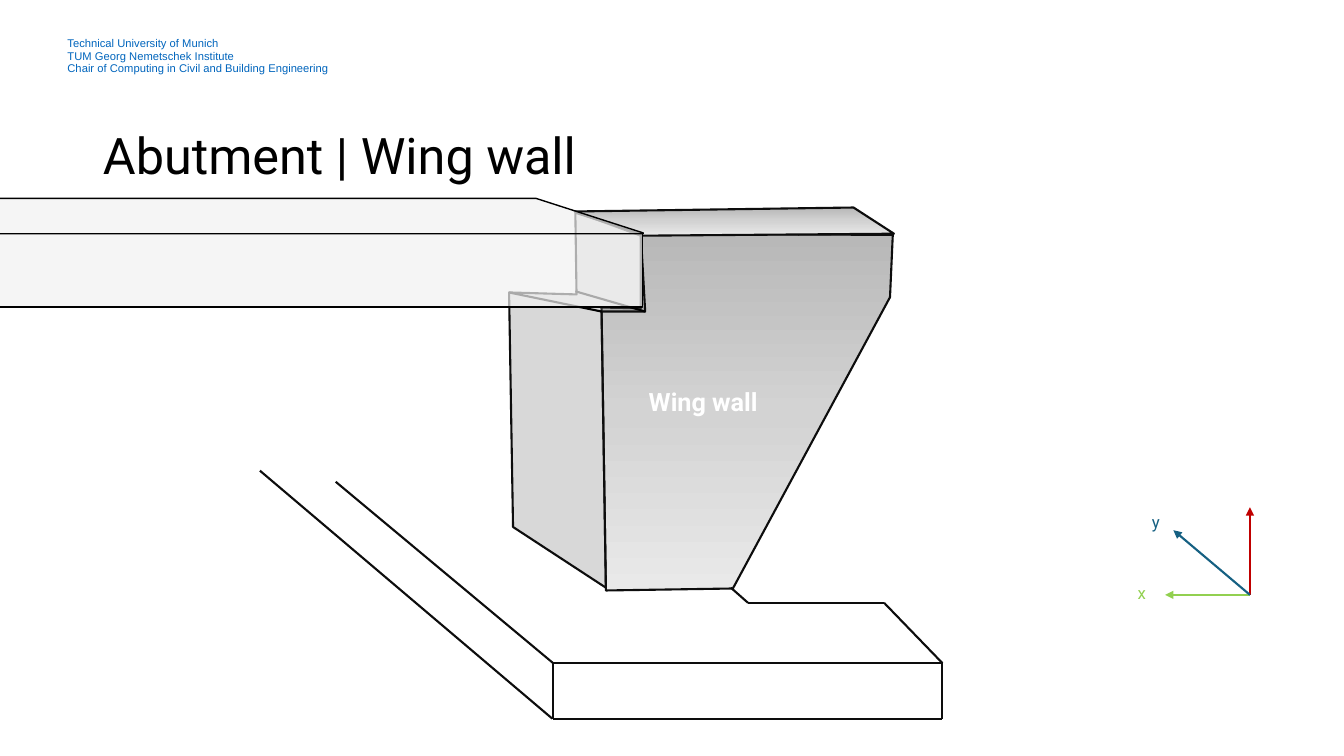
from dataclasses import dataclass
from itertools import pairwise
from lxml.etree import SubElement
from pptx import Presentation
from pptx.dml.color import RGBColor
from pptx.enum.shapes import MSO_CONNECTOR, MSO_SHAPE
from pptx.enum.text import MSO_ANCHOR, MSO_AUTO_SIZE, PP_ALIGN
from pptx.oxml.ns import qn
from pptx.util import Cm, Pt


@dataclass(frozen=True)
class Theme:
    head: str = "0065BD"
    ink: str = "0D0D0D"
    black: str = "000000"
    white: str = "FFFFFF"
    side: str = "808080"
    deck: str = "F2F2F2"
    red: str = "C00000"
    green: str = "92D050"
    blue: str = "156082"
    shade: tuple = ((0, "B8B8B8"), (50, "D3D3D3"), (100, "E9E9E9"))
    sans: str = "Arial"
    main: str = "Roboto"
    small: float = 8
    label: float = 12
    name: float = 18
    title: float = 36
    edge: float = 1.5
    thin: float = 1


THEME = Theme()
TITLE = "Abutment | Wing wall"
HEAD = [
    ["Technical University of Munich", "TUM Georg Nemetschek Institute"],
    ["Chair of Computing in Civil and Building Engineering"],
]
FRONT = [(15.16, 7.75), (15.27, 14.88), (18.47, 14.83), (22.43, 7.49),
         (22.5, 5.92), (16.15, 5.89), (16.15, 7.77)]
CROWN = [(16.15, 5.94), (14.48, 5.33), (21.51, 5.23), (22.53, 5.89)]
SIDE = [(14.5, 5.36), (14.53, 7.42), (12.83, 7.37), (12.93, 13.28),
        (15.27, 14.81), (15.16, 7.85), (16.26, 7.85), (16.15, 5.89)]
FOOTING = [
    [(8.46, 12.14), (13.94, 16.71), (23.75, 16.71), (22.28, 15.19),
     (18.85, 15.19), (18.42, 14.81)],
    [(13.94, 16.71), (13.94, 18.11), (23.75, 18.11), (23.75, 16.71)],
    [(13.92, 18.11), (6.55, 11.86)],
]
SEAT = [[(12.83, 7.37), (15.16, 7.85)], [(14.5, 7.34), (16.26, 7.85)]]
BEAM = (-0.89, 5.89, 17.09, 1.85)
ROAD = [(-3.71, 5), (13.51, 5), (16.21, 5.87), (16.21, 5.89),
        (-0.89, 5.89), (-1.02, 5.87)]
ZERO = (31.5, 14.99)
AXES = [((31.5, 12.78), THEME.red), ((29.36, 14.99), THEME.green),
        ((29.57, 13.36), THEME.blue)]
LABELS = [
    ("Wing wall", (16.1, 9.6, 5.05, 1.02), THEME.name, THEME.white, True),
    ("x", (28.42, 14.55, 0.61, 0.76), THEME.label, THEME.green, False),
    ("y", (28.78, 12.78, 0.61, 0.76), THEME.label, THEME.blue, False),
]


def rgb(hue):
    return RGBColor.from_string(hue)


def lengths(nums):
    return [Cm(num) for num in nums]


def write(para, text, size, hue, font=THEME.main, bold=False):
    run = para.add_run()
    run.text = text
    run.font.name = font
    run.font.size = Pt(size)
    run.font.bold = bold
    run.font.color.rgb = rgb(hue)


def stroke(item, hue, width):
    item.line.color.rgb = rgb(hue)
    item.line.width = Pt(width)


def draw(shapes, start, end, hue, arrow=False):
    line = shapes.add_connector(MSO_CONNECTOR.STRAIGHT, *lengths(start + end))
    stroke(line, hue, THEME.edge)
    props = line.element.spPr
    if arrow:
        SubElement(props.find(qn("a:ln")), qn("a:tailEnd"), type="triangle")
    SubElement(props, qn("a:effectLst"))


def chain(shapes, points, hue):
    for start, end in pairwise(points):
        draw(shapes, start, end, hue)


def outline(shapes, points):
    first, *rest = [tuple(lengths(point)) for point in points]
    pen = shapes.build_freeform(*first)
    pen.add_line_segments(rest, close=True)
    return pen.convert_to_shape()


def tint(shape, hue, alpha, edge, width):
    shape.shadow.inherit = False
    shape.fill.solid()
    shape.fill.fore_color.rgb = rgb(hue)
    tone = shape.element.spPr.find(qn("a:solidFill"))[0]
    SubElement(tone, qn("a:alpha"), val=str(alpha * 1000))
    stroke(shape, edge, width)


def blend(shape):
    shape.shadow.inherit = False
    shape.fill.gradient()
    shape.fill.gradient_angle = 270
    stops = shape.element.spPr.find(qn("a:gradFill")).find(qn("a:gsLst"))
    for stop in list(stops):
        stops.remove(stop)
    for pos, hue in THEME.shade:
        stop = SubElement(stops, qn("a:gs"), pos=str(pos * 1000))
        SubElement(stop, qn("a:srgbClr"), val=hue)
    stroke(shape, THEME.ink, THEME.edge)


def frame(shapes, box):
    text = shapes.add_textbox(*lengths(box)).text_frame
    text.word_wrap = True
    return text


def header(shapes):
    text = frame(shapes, (1.7, 0.94, 19.89, 0.97))
    text.margin_left = text.margin_right = 0
    text.margin_top = text.margin_bottom = 0
    for num, lines in enumerate(HEAD):
        para = text.add_paragraph() if num else text.paragraphs[0]
        para.line_spacing = Pt(9)
        for row, line in enumerate(lines):
            if row:
                para.add_line_break()
            write(para, line, THEME.small, THEME.head, THEME.sans)


def heading(title):
    title.left, title.top, title.width, title.height = lengths(
        (2.34, 2.77, 29.21, 2.44))
    text = title.text_frame
    text.auto_size = MSO_AUTO_SIZE.NONE
    text.vertical_anchor = MSO_ANCHOR.MIDDLE
    para = text.paragraphs[0]
    para.alignment = PP_ALIGN.LEFT
    para.line_spacing = 0.9
    write(para, TITLE, THEME.title, THEME.black)


def main():
    deck = Presentation()
    deck.slide_width, deck.slide_height = lengths((33.87, 19.05))
    slide = deck.slides.add_slide(deck.slide_layouts[5])
    shapes = slide.shapes
    heading(shapes.title)
    header(shapes)
    blend(outline(shapes, FRONT))
    base = shapes.add_group_shape().shapes
    for points in FOOTING:
        chain(base, points, THEME.ink)
    for end, hue in AXES:
        draw(shapes, ZERO, end, hue, arrow=True)
    for word, box, size, hue, bold in LABELS:
        para = frame(shapes, box).paragraphs[0]
        write(para, word, size, hue, bold=bold)
    blend(outline(shapes, CROWN))
    tint(outline(shapes, SIDE), THEME.side, 30, THEME.ink, THEME.edge)
    for points in SEAT:
        chain(shapes, points, THEME.black)
    span = shapes.add_group_shape().shapes
    beam = span.add_shape(MSO_SHAPE.RECTANGLE, *lengths(BEAM))
    for part in (beam, outline(span, ROAD)):
        tint(part, THEME.deck, 70, THEME.black, THEME.thin)
    deck.save("out.pptx")


if __name__ == "__main__":
    main()
